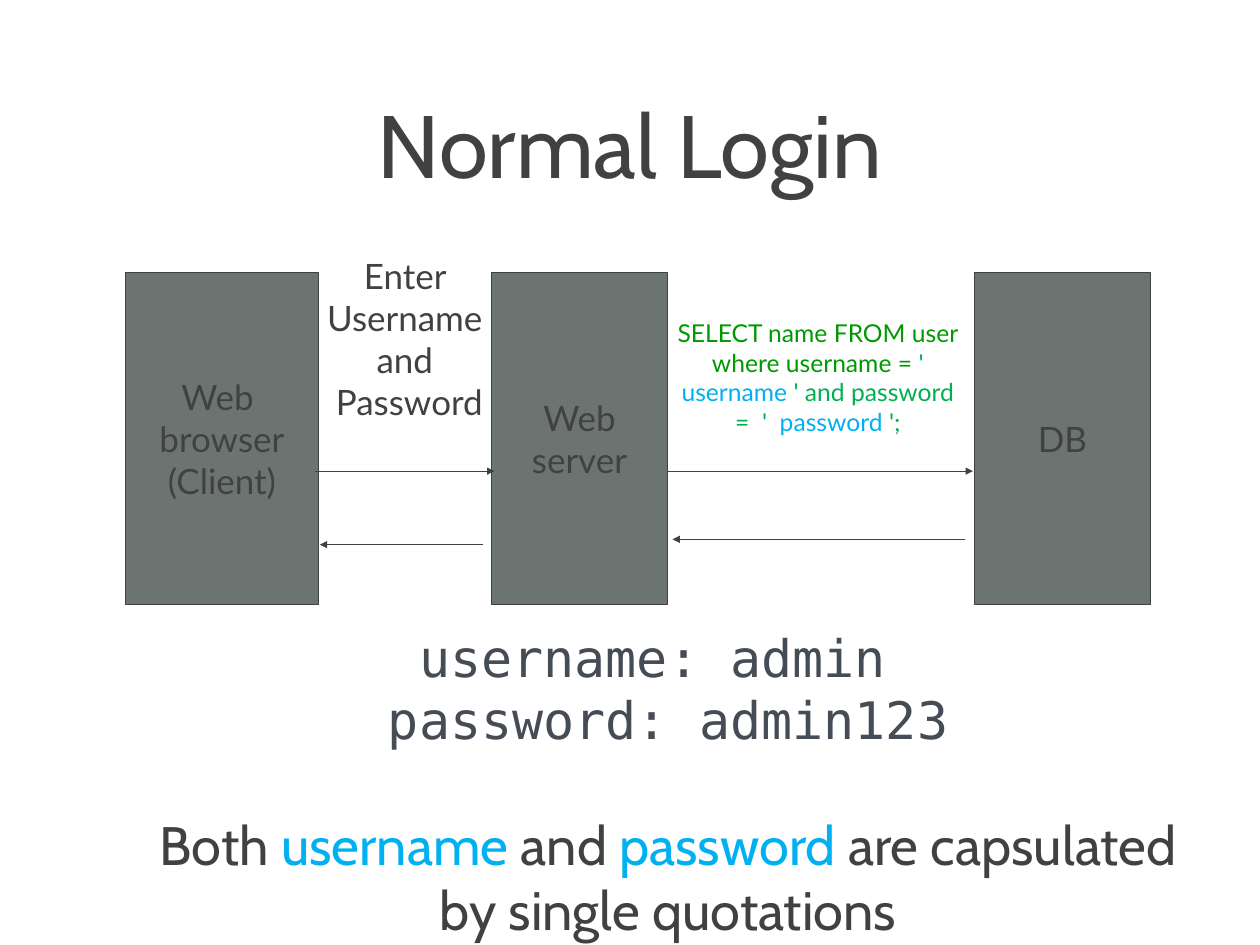
from lxml import etree
from pptx import Presentation
from pptx.dml.color import RGBColor
from pptx.enum.shapes import MSO_CONNECTOR, MSO_SHAPE
from pptx.enum.text import MSO_ANCHOR, MSO_AUTO_SIZE, PP_ALIGN
from pptx.oxml.ns import qn
from pptx.util import Inches, Pt

CENTER = PP_ALIGN.CENTER
MIDDLE = MSO_ANCHOR.MIDDLE
TOP = MSO_ANCHOR.TOP
FIXED = MSO_AUTO_SIZE.NONE
RECT = MSO_SHAPE.RECTANGLE
STRAIGHT = MSO_CONNECTOR.STRAIGHT

DARK = "414141"
GRAY = "6C7472"
SLATE = "454C55"
LEAF = "009900"
GREEN = "00B050"
BLUE = "00B0F0"
SANS = "Lato"
HEAD = "Cabin"
MONO = "DejaVu Sans Mono"


def color(code):
    return RGBColor.from_string(code)


def add_text(para, text, font=SANS, size=28.4, fill=DARK):
    """Add one centred run to a paragraph."""
    para.alignment = CENTER
    run = para.add_run()
    run.text = text
    run.font.name = font
    run.font.size = Pt(size)
    run.font.color.rgb = color(fill)


def set_frame(frame, wrap=True, anchor=TOP):
    frame.auto_size = FIXED
    frame.word_wrap = wrap
    frame.vertical_anchor = anchor


def add_lines(frame, lines, **style):
    for i, line in enumerate(lines):
        para = frame.add_paragraph() if i else frame.paragraphs[0]
        add_text(para, line, **style)


def add_label(slide, left, top, width, height, wrap=True):
    box = slide.shapes.add_textbox(
        Inches(left), Inches(top), Inches(width), Inches(height))
    set_frame(box.text_frame, wrap)
    return box.text_frame


def add_node(slide, left, width, lines):
    node = slide.shapes.add_shape(
        RECT, Inches(left), Inches(3.08), Inches(width), Inches(3.74))
    node.shadow.inherit = False
    node.fill.solid()
    node.fill.fore_color.rgb = color(GRAY)
    node.line.color.rgb = color(DARK)
    node.line.width = Pt(0.75)
    set_frame(node.text_frame, wrap=False, anchor=MIDDLE)
    add_lines(node.text_frame, lines)


def add_arrow(slide, start, end, y):
    arrow = slide.shapes.add_connector(
        STRAIGHT, Inches(start), Inches(y), Inches(end), Inches(y))
    arrow.line.color.rgb = color(DARK)
    arrow.line.width = Pt(0.75)
    etree.SubElement(arrow.line._get_or_add_ln(), qn("a:tailEnd"), type="triangle")
    etree.SubElement(arrow._element.spPr, qn("a:effectLst"))


def add_title(slide, text):
    title = slide.shapes.title
    title.left, title.top = Inches(0.39), Inches(0.28)
    title.width, title.height = Inches(13.44), Inches(2.67)
    frame = title.text_frame
    set_frame(frame, anchor=MIDDLE)
    frame.margin_left = frame.margin_right = Inches(0.06)
    frame.margin_top = frame.margin_bottom = Inches(0.06)
    add_text(frame.paragraphs[0], text, font=HEAD, size=72)


def main():
    deck = Presentation()
    deck.slide_width, deck.slide_height = Inches(14.22), Inches(10.67)
    slide = deck.slides.add_slide(deck.slide_layouts[5])
    add_title(slide, "Normal Login")

    # Client, server and database
    for left, width, lines in (
        (1.42, 2.17, ["Web ", "browser", "(Client)"]),
        (5.55, 1.98, ["Web", "server"]),
        (11, 1.98, ["DB"]),
    ):
        add_node(slide, left, width, lines)

    # Requests and replies
    for start, end, y in (
        (3.56, 5.58, 5.32),
        (5.45, 3.61, 6.15),
        (7.54, 10.98, 5.32),
        (10.89, 7.59, 6.09),
    ):
        add_arrow(slide, start, end, y)

    # Labels above the requests
    entry = add_label(slide, 3.57, 2.83, 2.1, 2.02, wrap=False)
    add_lines(entry, ["Enter ", "Username ", "and ", "Password"])
    query = add_label(slide, 7.51, 3.54, 3.44, 1.45)
    for text, fill in (
        ("SELECT name FROM user where username = ", LEAF),
        ("' ", GREEN),
        ("username ", BLUE),
        ("' and password =  '  ", GREEN),
        ("password ", BLUE),
        ("';", GREEN),
    ):
        add_text(query.paragraphs[0], text, size=20, fill=fill)

    # Sample login and the rule below it
    sample = add_label(slide, 1.61, 7.02, 11.86, 3.7)
    add_lines(sample, ["username: admin ", "password: admin123"],
              font=MONO, size=42, fill=SLATE)
    rule = sample.add_paragraph()
    rule.space_before = Pt(50)
    for text, fill in (
        ("Both ", DARK),
        ("username", BLUE),
        (" and ", DARK),
        ("password", BLUE),
        (" are capsulated by single quotations", DARK),
    ):
        add_text(rule, text, font=HEAD, size=44, fill=fill)

    deck.save("out.pptx")


if __name__ == "__main__":
    main()
